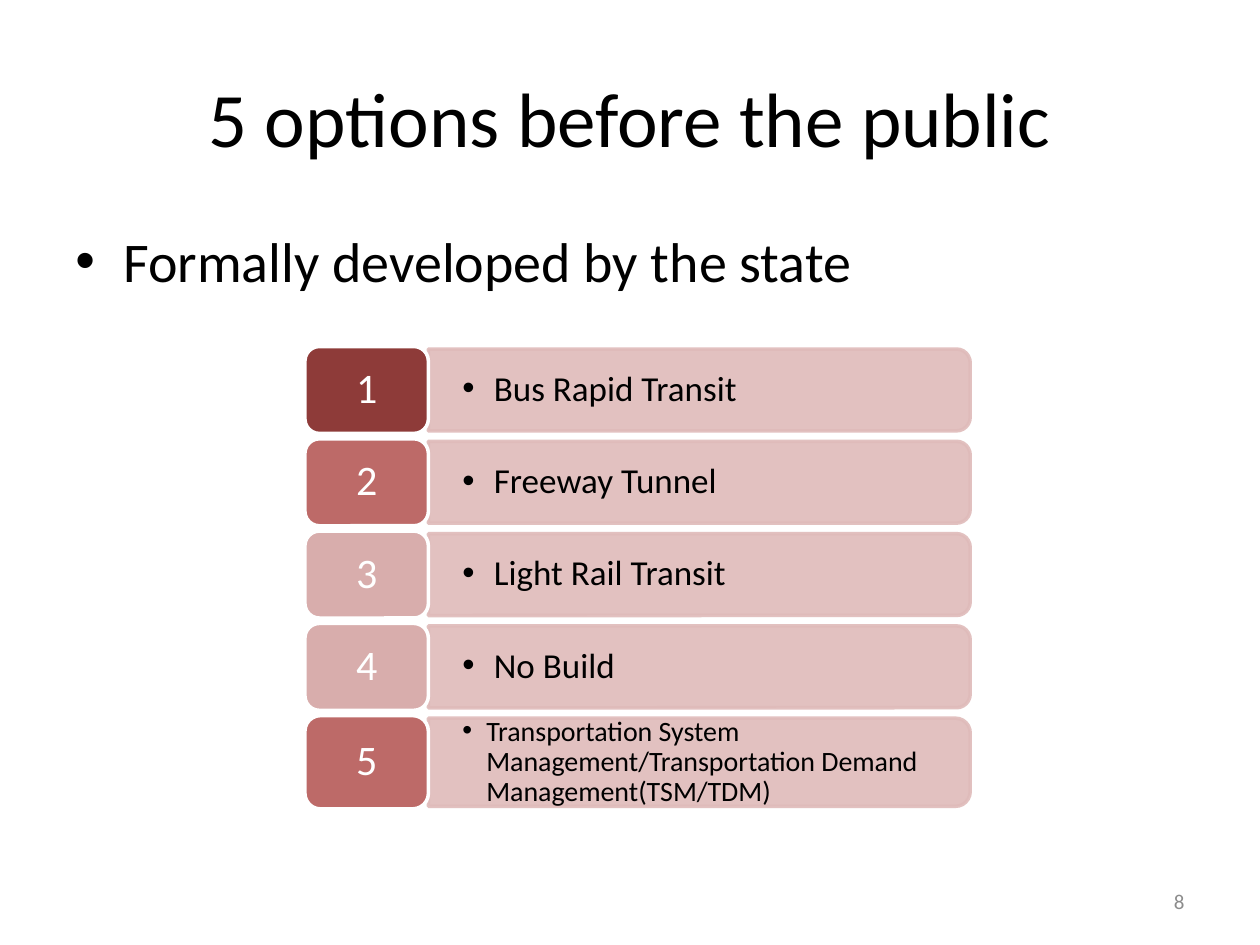
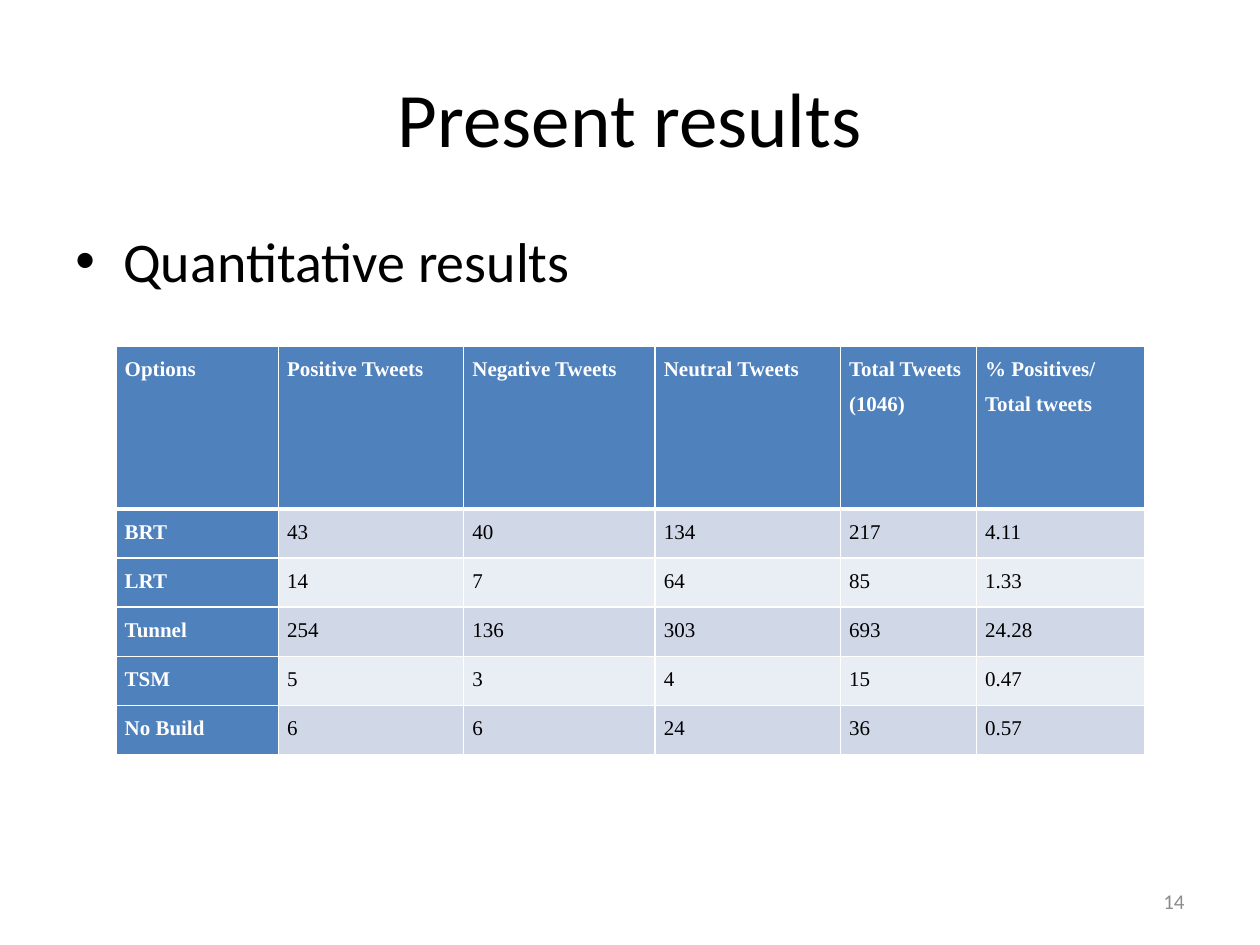
from lxml import etree
from pptx import Presentation
from pptx.dml.color import RGBColor
from pptx.enum import shapes, text
from pptx.oxml import ns
from pptx.util import Inches, Pt

BODY_FONT = "Calibri"
TABLE_FONT = "Times New Roman"
BLACK, WHITE, GREY = "000000", "FFFFFF", "8C8C8C"
BAR_PINK = "DFBBBA"
DARK_RED, MID_RED, PALE_RED = "8E3B39", "BD6A68", "D8ADAC"
HEADER_BLUE = "4F81BD"
BAND_FILLS = ("D0D8E8", "E9EDF4")

OPTIONS = [
    ("Bus Rapid Transit", DARK_RED),
    ("Freeway Tunnel", MID_RED),
    ("Light Rail Transit", PALE_RED),
    ("No Build", PALE_RED),
    ("Transportation System Management/Transportation Demand Management(TSM/TDM)", MID_RED),
]
RESULTS = [
    ("Options", "Positive Tweets", "Negative Tweets", "Neutral Tweets",
     "Total Tweets\n(1046)", "% Positives/\nTotal tweets"),
    ("BRT", "43", "40", "134", "217", "4.11"),
    ("LRT", "14", "7", "64", "85", "1.33"),
    ("Tunnel", "254", "136", "303", "693", "24.28"),
    ("TSM", "5", "3", "4", "15", "0.47"),
    ("No Build", "6", "6", "24", "36", "0.57"),
]
COLUMN_WIDTHS = (1.29, 1.47, 1.52, 1.47, 1.08, 1.34)
HEADER_HEIGHT, ROW_HEIGHT = 1.29, 0.39


def color(value):
    return RGBColor.from_string(value)


def box(left, top, width, height):
    return [Inches(length) for length in (left, top, width, height)]


def style(paragraph, size, ink, align=text.PP_ALIGN.LEFT, font=BODY_FONT, bold=False, spacing=None):
    paragraph.alignment = align
    paragraph.line_spacing = spacing
    paragraph.font.name = font
    paragraph.font.size = Pt(size)
    paragraph.font.bold = bold
    paragraph.font.color.rgb = color(ink)


def add_bullet(paragraph, indent):
    properties = paragraph._p.get_or_add_pPr()
    properties.set("marL", str(Inches(indent)))
    properties.set("indent", str(-Inches(indent)))
    etree.SubElement(properties, ns.qn("a:buFont"), typeface="Arial")
    etree.SubElement(properties, ns.qn("a:buChar"), char="•")


def add_text(slide, place, wording, size, ink, anchor=text.MSO_ANCHOR.MIDDLE, **formatting):
    shape = slide.shapes.add_textbox(*box(*place))
    frame = shape.text_frame
    frame.word_wrap = True
    frame.vertical_anchor = anchor
    frame.text = wording
    style(frame.paragraphs[0], size, ink, **formatting)
    return frame


def add_block(slide, kind, place, fill, line):
    shape = slide.shapes.add_shape(kind, *box(*place))
    shape.shadow.inherit = False
    shape.fill.solid()
    shape.fill.fore_color.rgb = color(fill)
    shape.line.color.rgb = color(line)
    shape.line.width = Pt(2)
    return shape


def set_opacity(shape, percent):
    for paint in shape._element.spPr.iter(ns.qn("a:srgbClr")):
        etree.SubElement(paint, ns.qn("a:alpha"), val=str(percent * 1000))


def add_titled_slide(presentation, heading, bullet, number):
    slide = presentation.slides.add_slide(presentation.slide_layouts[5])
    title = slide.shapes.title
    title.left, title.top, title.width, title.height = box(0.5, 0.3, 9, 1.25)
    title.text_frame.text = heading
    title.text_frame.vertical_anchor = text.MSO_ANCHOR.MIDDLE
    style(title.text_frame.paragraphs[0], 44, BLACK, text.PP_ALIGN.CENTER)
    body = add_text(slide, (0.5, 1.75, 9, 0.75), bullet, 32, BLACK, text.MSO_ANCHOR.TOP)
    add_bullet(body.paragraphs[0], 0.38)
    add_text(slide, (7.17, 6.95, 2.33, 0.4), number, 12, GREY, align=text.PP_ALIGN.RIGHT)
    return slide


def add_option(slide, number, wording, fill, top, height, size, indent):
    bar_left, bar_length, bar_height = 3.4, 4.3, height - 0.04
    middle = top + height / 2
    upright = (bar_left + (bar_length - bar_height) / 2, middle - bar_length / 2,
               bar_height, bar_length)
    bar = add_block(slide, shapes.MSO_SHAPE.ROUND_2_SAME_RECTANGLE, upright, BAR_PINK, BAR_PINK)
    bar.rotation = 90
    set_opacity(bar, 90)

    label = add_text(slide, (bar_left, top + 0.05, 4.26, height - 0.1), wording, size, BLACK,
                     spacing=0.9)
    label.margin_left = label.margin_right = Inches(0.27)
    label.margin_top = label.margin_bottom = 0
    add_bullet(label.paragraphs[0], indent)

    tile = add_block(slide, shapes.MSO_SHAPE.ROUNDED_RECTANGLE, (2.42, top, 0.98, height),
                     fill, WHITE)
    tile.text_frame.text = str(number)
    tile.text_frame.vertical_anchor = text.MSO_ANCHOR.MIDDLE
    style(tile.text_frame.paragraphs[0], 24, WHITE, text.PP_ALIGN.CENTER, spacing=0.9)


def set_borders(cell, bottom_width, top_width):
    properties = cell._tc.get_or_add_tcPr()
    for side, width in (("L", 1), ("R", 1), ("T", top_width), ("B", bottom_width)):
        line = etree.SubElement(properties, ns.qn(f"a:ln{side}"), w=str(Pt(width)))
        fill = etree.SubElement(line, ns.qn("a:solidFill"))
        etree.SubElement(fill, ns.qn("a:srgbClr"), val=WHITE)


def fill_cell(cell, wording, row, column):
    heading = row == 0 or column == 0
    set_borders(cell, 3 if row == 0 else 1, 3 if row == 1 else 1)
    cell.fill.solid()
    cell.fill.fore_color.rgb = color(HEADER_BLUE if heading else BAND_FILLS[(row - 1) % 2])
    cell.margin_left = cell.margin_right = Inches(0.07)
    cell.margin_top = cell.margin_bottom = 0
    cell.text_frame.text = wording
    for paragraph in cell.text_frame.paragraphs:
        style(paragraph, 12, WHITE if heading else BLACK, text.PP_ALIGN.JUSTIFY,
              TABLE_FONT, heading, 1.5)


def add_results_table(slide):
    place = box(0.92, 2.75, sum(COLUMN_WIDTHS), HEADER_HEIGHT + 5 * ROW_HEIGHT)
    table = slide.shapes.add_table(len(RESULTS), len(COLUMN_WIDTHS), *place).table
    for column, width in zip(table.columns, COLUMN_WIDTHS):
        column.width = Inches(width)
    for row, values in enumerate(RESULTS):
        table.rows[row].height = Inches(ROW_HEIGHT if row else HEADER_HEIGHT)
        for column, wording in enumerate(values):
            fill_cell(table.cell(row, column), wording, row, column)


def main():
    presentation = Presentation()
    presentation.slide_width, presentation.slide_height = Inches(10), Inches(7.5)

    slide = add_titled_slide(presentation, "5 options before the public",
                             "Formally developed by the state", "8")
    for index, (wording, fill) in enumerate(OPTIONS):
        long = len(wording) > 40
        height, size, indent = (0.74, 16, 0.19) if long else (0.69, 20, 0.25)
        add_option(slide, index + 1, wording, fill, 2.75 + index * 2.93 / 4, height, size, indent)

    slide = add_titled_slide(presentation, "Present results", "Quantitative results", "14")
    add_results_table(slide)
    presentation.save("out.pptx")


if __name__ == "__main__":
    main()
